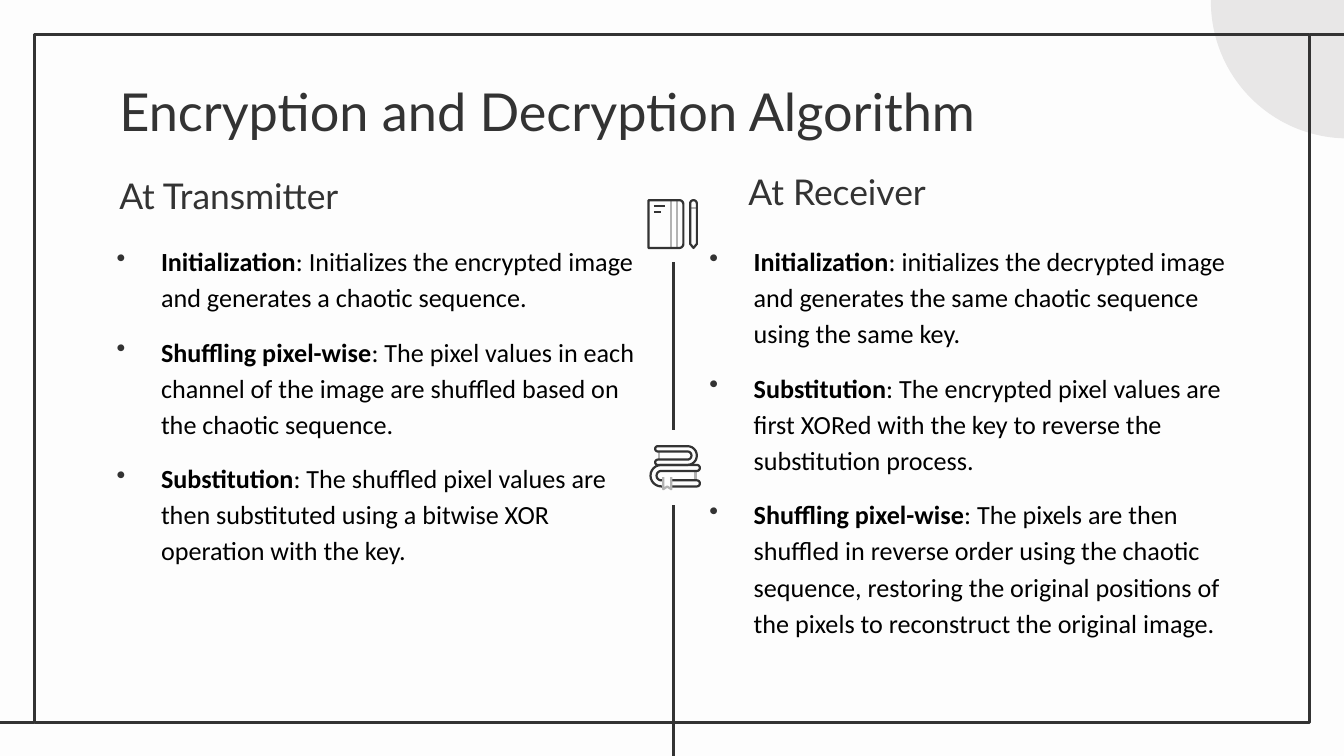
import math

from lxml import etree
from pptx import Presentation
from pptx import util as u
from pptx.dml.color import RGBColor
from pptx.enum import shapes, text
from pptx.oxml import ns

PX = 4572
COLORS = {
    "background": "FDFDFD",
    "ink": "333333",
    "body": "000000",
    "gray": "B2B2B2",
    "circle": "E8E7E7",
}
TRANSMITTER = [
    ("Initialization", ": Initializes the encrypted image and generates a chaotic sequence."),
    ("Shuffling pixel-wise", ": The pixel values in each channel of the image are shuffled based on the chaotic sequence."),
    ("Substitution", ": The shuffled pixel values are then substituted using a bitwise XOR operation with the key."),
]
RECEIVER = [
    ("Initialization", ": initializes the decrypted image and generates the same chaotic sequence using the same key."),
    ("Substitution", ": The encrypted pixel values are first XORed with the key to reverse the substitution process."),
    ("Shuffling pixel-wise", ": The pixels are then shuffled in reverse order using the chaotic sequence, restoring the original positions of the pixels to reconstruct the original image."),
]


def px(value):
    return u.Emu(round(value * PX))


def rgb(name):
    return RGBColor.from_string(COLORS[name])


def add_line(slide, start, end, color="ink", width=1.5):
    line = slide.shapes.add_connector(
        shapes.MSO_CONNECTOR.STRAIGHT, *(px(value) for value in (*start, *end)))
    line.line.color.rgb = rgb(color)
    line.line.width = u.Pt(width)
    etree.SubElement(line._element.spPr, ns.qn("a:effectLst"))


def add_preset(slide, kind, box, fill=None, line=None):
    shape = slide.shapes.add_shape(kind, *(px(value) for value in box))
    shape.shadow.inherit = False
    if fill:
        shape.fill.solid()
        shape.fill.fore_color.rgb = rgb(fill)
    else:
        shape.fill.background()
    if line:
        shape.line.color.rgb = rgb(line)
        shape.line.width = u.Pt(1.5)
    else:
        shape.line.fill.background()


def add_outline(slide, box, points, color="ink", fill=None, close=True):
    left, top = box[:2]
    places = [(px(left + x), px(top + y)) for x, y in points]
    builder = slide.shapes.build_freeform(*places[0])
    builder.add_line_segments(places[1:], close=close)
    shape = builder.convert_to_shape()
    shape.shadow.inherit = False
    if fill:
        shape.fill.solid()
        shape.fill.fore_color.rgb = rgb(fill)
    else:
        shape.fill.background()
    shape.line.color.rgb = rgb(color)
    shape.line.width = u.Pt(1.2)


def arc(x, y, radius, start, end, direction=1, steps=12):
    angles = [math.radians(start + (end - start) * step / steps) for step in range(steps + 1)]
    return [(x + direction * radius * math.cos(angle), y + radius * math.sin(angle))
            for angle in angles]


def add_text_frame(slide, box, anchor=text.MSO_ANCHOR.TOP):
    frame = slide.shapes.add_textbox(*(px(value) for value in box)).text_frame
    frame.word_wrap = True
    frame.vertical_anchor = anchor
    frame.margin_left = frame.margin_top = frame.margin_right = frame.margin_bottom = px(20)
    return frame


def style_font(font, name, size, color, bold=False):
    font.name = name
    font.size = u.Pt(size)
    font.color.rgb = rgb(color)
    font.bold = bold


def add_heading(slide, box, heading, size, anchor=text.MSO_ANCHOR.TOP, spacing=1.0):
    frame = add_text_frame(slide, box, anchor)
    frame.text = heading
    paragraph = frame.paragraphs[0]
    paragraph.line_spacing = spacing
    style_font(paragraph.runs[0].font, "Lato", size, "ink")


def add_bullet(paragraph):
    properties = paragraph._p.get_or_add_pPr()
    properties.set("marL", str(px(100)))
    properties.set("indent", str(px(-66)))
    color = etree.SubElement(properties, ns.qn("a:buClr"))
    etree.SubElement(color, ns.qn("a:srgbClr"), val=COLORS["ink"])
    etree.SubElement(properties, ns.qn("a:buChar"), char="•")


def add_steps(slide, box, steps):
    frame = add_text_frame(slide, box)
    for index, step in enumerate(steps):
        paragraph = frame.add_paragraph() if index else frame.paragraphs[0]
        add_bullet(paragraph)
        paragraph.line_spacing = 1.15
        if index:
            paragraph.space_before = u.Pt(10)
        for part, bold in zip(step, (True, False)):
            run = paragraph.add_run()
            run.text = part
            style_font(run.font, "Calibri", 14, "body", bold)


def add_frame(slide, box):
    left, top, width, height = box
    add_preset(slide, shapes.MSO_SHAPE.OVAL, (1802, -202, 408, 408), fill="circle")
    add_preset(slide, shapes.MSO_SHAPE.RECTANGLE, box, line="ink")
    add_line(slide, (0, top + height), (left, top + height))
    add_line(slide, (left + width, top), (2000, top))


def add_notebook(slide, box):
    left, top = box[:2]
    marks = [
        ((45, 3), (45, 72), "gray"),
        ((36, 3), (36, 72), "gray"),
        ((64, 13), (74, 13), "gray"),
        ((10, 11), (26, 11), "ink"),
        ((10, 20), (20, 20), "ink"),
    ]
    for (x1, y1), (x2, y2), color in marks:
        add_line(slide, (left + x1, top + y1), (left + x2, top + y2), color, 1.2)
    cover = [(2, 2), *arc(48, 8, 6, -90, 0), *arc(48, 67, 6, 0, 90), (2, 73)]
    pen = [*arc(69, 7, 5, 180, 360), (74, 67), (69, 73), (64, 67)]
    for points in (cover, pen):
        add_outline(slide, box, points)


def add_book(slide, box, spine, edge, middle, outer, inner):
    direction = 1 if spine > edge else -1
    center = (outer + inner) / 2
    cap = (outer - inner) / 2
    add_outline(slide, box, [
        *arc(spine, middle, outer, -90, 90, direction),
        *arc(edge, middle + center, cap, 90, 270, direction),
        *arc(spine, middle, inner, 90, -90, direction),
        *arc(edge, middle - center, cap, 90, 270, direction),
    ])


def add_books(slide, box):
    left, top = box[:2]
    for x, y, height in ((18, 10, 12), (72, 39, 14)):
        add_line(slide, (left + x, top + y), (left + x, top + y + height), "gray", 1.2)
    add_book(slide, box, spine=60, edge=16, middle=16, outer=14, inner=6)
    add_book(slide, box, spine=21, edge=74, middle=46, outer=16, inner=7)
    ribbon = [(24, 48), (24, 66), (30, 62), (36, 66), (36, 48)]
    add_outline(slide, box, ribbon, "gray", "background", close=False)


def add_divider(slide, box):
    left, top, width, height = box
    middle = left + width / 2
    add_notebook(slide, (left, top, width, 75))
    add_line(slide, (middle, top + 94), (middle, top + 344))
    add_books(slide, (left, top + 366, width, 68))
    add_line(slide, (middle, top + 456), (middle, top + height))


def main():
    presentation = Presentation()
    presentation.slide_width = px(2000)
    presentation.slide_height = px(1125)
    slide = presentation.slides.add_slide(presentation.slide_layouts[6])
    slide.background.fill.solid()
    slide.background.fill.fore_color.rgb = rgb("background")
    add_frame(slide, (51, 51, 1898, 1024))
    add_heading(slide, (158, 98, 1686, 126), "Encryption and Decryption Algorithm", 28)
    bottom = text.MSO_ANCHOR.BOTTOM
    add_heading(slide, (158, 246, 932, 96), "At Transmitter", 19, bottom, 1.15)
    add_steps(slide, (120, 338, 880, 736), TRANSMITTER)
    add_divider(slide, (963, 296, 78, 829))
    add_heading(slide, (1094, 250, 684, 86), "At Receiver", 19, bottom, 1.15)
    add_steps(slide, (1002, 338, 880, 736), RECEIVER)
    presentation.save("out.pptx")


if __name__ == "__main__":
    main()
